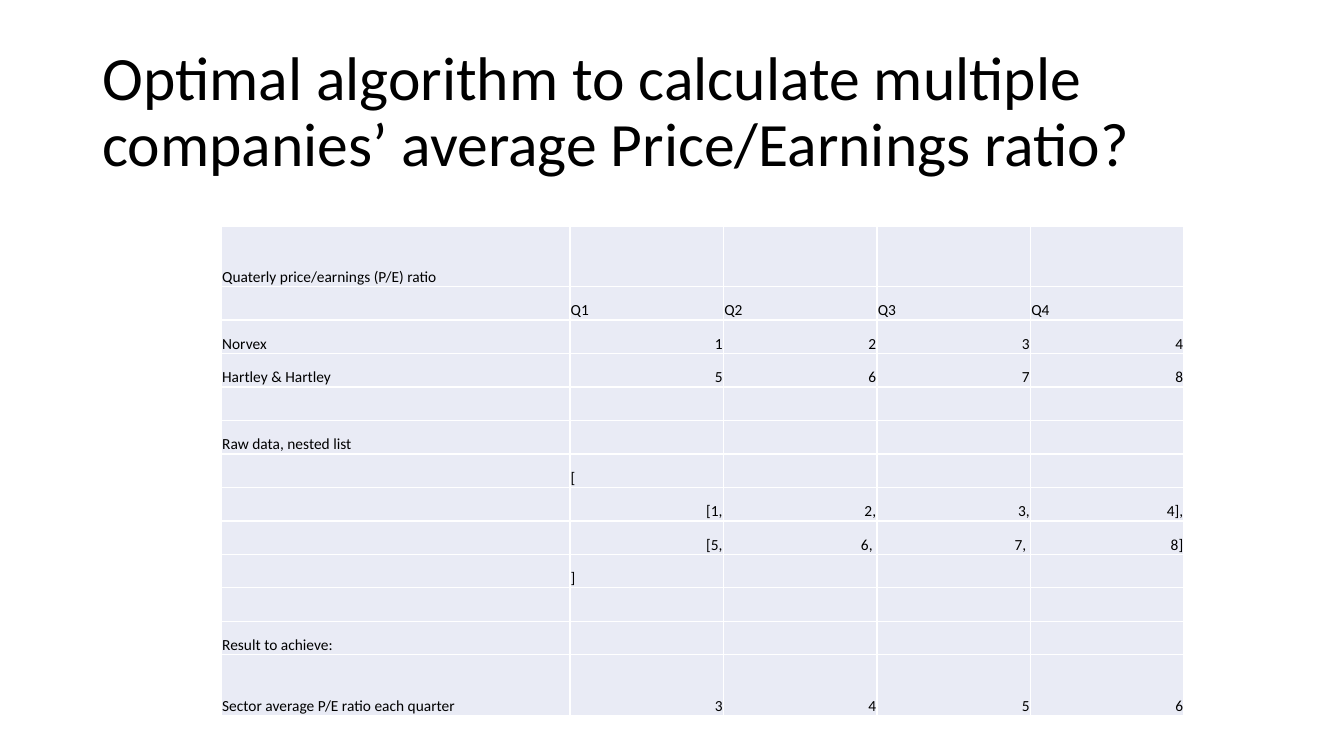
import pptx
import pptx.util
import pptx.dml.color
import pptx.enum.text
import lxml.etree

Pt = pptx.util.Pt
Align = pptx.enum.text.PP_ALIGN
Anchor = pptx.enum.text.MSO_ANCHOR
COLORS = {"text": "000000", "cell": "E9EBF5", "border": "FFFFFF"}
DRAWING = "http://schemas.openxmlformats.org/drawingml/2006/main"


def write(frame, text, size, align=Align.LEFT, line_spacing=1.0):
    paragraph = frame.paragraphs[0]
    paragraph.alignment = align
    paragraph.line_spacing = line_spacing
    run = paragraph.add_run()
    run.text = text
    run.font.size = Pt(size)
    run.font.name = "Calibri"
    run.font.color.rgb = pptx.dml.color.RGBColor.from_string(COLORS["text"])


def add_border(cell, side):
    properties = cell._tc.get_or_add_tcPr()
    line = lxml.etree.SubElement(properties, f"{{{DRAWING}}}{side}", w=str(Pt(1)))
    fill = lxml.etree.SubElement(line, f"{{{DRAWING}}}solidFill")
    lxml.etree.SubElement(fill, f"{{{DRAWING}}}srgbClr", val=COLORS["border"])


deck = pptx.Presentation()
deck.slide_width, deck.slide_height = Pt(960), Pt(540)
slide = deck.slides.add_slide(deck.slide_layouts[6])

title = slide.shapes.add_textbox(Pt(66), Pt(28.75), Pt(828), Pt(104.4)).text_frame
title.word_wrap = True
title.vertical_anchor = Anchor.MIDDLE
write(
    title,
    "Optimal algorithm to calculate multiple companies’ average Price/Earnings ratio?",
    size=44,
    line_spacing=0.9,
)

ratio_rows = [
    ["Quaterly price/earnings (P/E) ratio"],
    ["", "Q1", "Q2", "Q3", "Q4"],
    ["Norvex", "1", "2", "3", "4"],
    ["Hartley & Hartley", "5", "6", "7", "8"],
    [],
    ["Raw data, nested list"],
    ["", "["],
    ["", "[1,", "2,", "3,", "4],"],
    ["", "[5,", "6, ", "7, ", "8]"],
    ["", "]"],
    [],
    ["Result to achieve:"],
    ["Sector average P/E ratio each quarter", "3", "4", "5", "6"],
]
column_widths = [249] + [109.7] * 4
row_heights = [43.2] + [23.95] * 11 + [43.2]

ratios = slide.shapes.add_table(
    len(row_heights), len(column_widths),
    Pt(158.1), Pt(161.4), Pt(sum(column_widths)), Pt(sum(row_heights)),
).table
ratios.first_row = False
ratios.horz_banding = False
for column, width in zip(ratios.columns, column_widths):
    column.width = Pt(width)

for row, height, texts in zip(ratios.rows, row_heights, ratio_rows):
    row.height = Pt(height)
    padded = texts + [""] * (len(column_widths) - len(texts))
    for cell, text in zip(row.cells, padded):
        cell.margin_left = cell.margin_right = cell.margin_top = Pt(0.6)
        cell.margin_bottom = Pt(0)
        cell.vertical_anchor = Anchor.BOTTOM
        for side in ("lnL", "lnR", "lnT", "lnB"):
            add_border(cell, side)
        cell.fill.solid()
        cell.fill.fore_color.rgb = pptx.dml.color.RGBColor.from_string(COLORS["cell"])
        if text:
            is_value = text.strip("[], ").isdigit()
            write(cell.text_frame, text, size=11, align=Align.RIGHT if is_value else Align.LEFT)
        else:
            cell.text_frame.paragraphs[0]._p.get_or_add_endParaRPr().set("sz", "1100")

deck.save("out.pptx")
